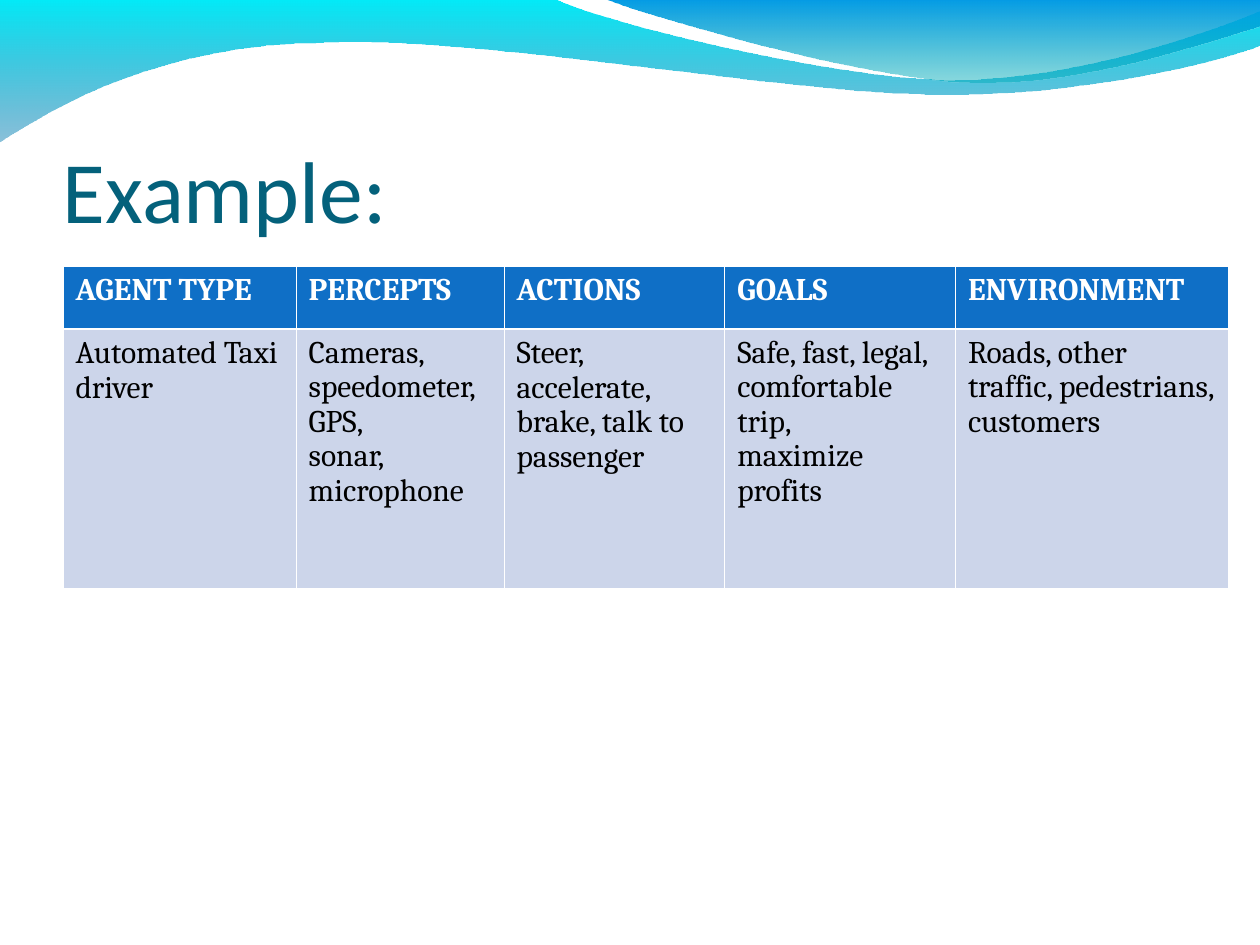
from lxml.etree import SubElement
from pptx import Presentation
from pptx.dml.color import RGBColor
from pptx.enum.text import MSO_ANCHOR as Anchor
from pptx.oxml.ns import qn
from pptx.util import Cm, Pt

WHITE = RGBColor(0xFF, 0xFF, 0xFF)
BLACK = RGBColor(0x00, 0x00, 0x00)
TITLE_TEAL = RGBColor(0x04, 0x61, 0x7B)
HEADER_BLUE = RGBColor(0x0F, 0x6F, 0xC6)
BODY_BLUE = RGBColor(0xCC, 0xD5, 0xEA)
CYAN = RGBColor(0x00, 0xEB, 0xF8)
DEEP_BLUE = RGBColor(0x00, 0x79, 0xAF)
SKY_BLUE = RGBColor(0x00, 0x9B, 0xE5)
SEA_GREEN = RGBColor(0x00, 0xAD, 0xB6)

THIN, THICK = Pt(0.45), Pt(1.47)

# Outlines in cm from the wave's corner: one point is a corner, three are a Bézier curve.
LONG_WAVE = [
    [(0.03, 0)],
    [(11.2, 0)],
    [(12.12, 0.46), (16.89, 1.63), (19.28, 1.63)],
    [(21.74, 1.63), (24.36, 0.69), (25.43, 0.25)],
    [(25.45, 0.94)],
    [(24.99, 1.14), (22.12, 1.96), (18.97, 1.93)],
    [(15.82, 1.93), (9.73, 0.74), (6.55, 0.89)],
    [(3.3, 0.91), (1.19, 2.13), (0, 2.9)],
]
SHORT_WAVE = [
    [(0, 0)],
    [(0.76, 0.3), (5.16, 1.6), (7.37, 1.68)],
    [(9.58, 1.78), (12.24, 0.84), (13.23, 0.56)],
    [(13.23, 0.03)],
]

COLUMNS = [
    ("AGENT TYPE", 4.7, ["Automated Taxi driver"]),
    ("PERCEPTS", 4.19, ["Cameras,", "speedometer, GPS,", "sonar, microphone"]),
    ("ACTIONS", 4.45, ["Steer, accelerate,", "brake, talk to", "passenger"]),
    ("GOALS", 4.65, ["Safe, fast, legal,", "comfortable trip,", "maximize profits"]),
    ("ENVIRONMENT", 5.5, ["Roads, other", "traffic, pedestrians,", "customers"]),
]
ROW_HEIGHTS = [1.26, 5.24]


def bend_curves(wave, outline):
    """Join the three line segments of each curve into one Bézier segment."""
    segments = iter(wave.element.findall(".//" + qn("a:lnTo")))
    for part in outline[1:]:
        lines = [next(segments) for _ in part]
        if len(part) == 3:
            curve = lines[0].makeelement(qn("a:cubicBezTo"))
            lines[0].addprevious(curve)
            for line in lines:
                curve.append(line[0])
                line.getparent().remove(line)


def add_wave(slide, left, top, outline, top_color, bottom_color):
    """Draw a wave that fades downwards to a half-transparent colour."""
    first, *others = [(Cm(x), Cm(y)) for part in outline for x, y in part]
    builder = slide.shapes.build_freeform(*first)
    builder.add_line_segments(others, close=True)
    wave = builder.convert_to_shape(left, top)
    bend_curves(wave, outline)
    wave.shadow.inherit = False
    wave.line.fill.background()
    wave.fill.gradient()
    wave.fill.gradient_angle = 270
    for stop, position, color in zip(wave.fill.gradient_stops, (0, 1), (top_color, bottom_color)):
        stop.position = position
        stop.color.rgb = color
    bottom_stop = wave.element.findall(".//" + qn("a:gs"))[-1]
    SubElement(bottom_stop[0], qn("a:alpha"), val="45000")


def add_run(paragraph, text, font_name, size, color, bold=False):
    run = paragraph.add_run()
    run.text = text
    font = run.font
    font.name, font.size, font.bold = font_name, Pt(size), bold
    font.color.rgb = color


def add_title(slide, left, top, width, height, text):
    frame = slide.shapes.add_textbox(left, top, width, height).text_frame
    frame.word_wrap = True
    frame.vertical_anchor = Anchor.BOTTOM
    frame.margin_left = frame.margin_right = frame.margin_bottom = 0
    add_run(frame.paragraphs[0], text, "Calibri", 50, TITLE_TEAL)


def set_borders(cell, top, bottom):
    properties = cell._tc.get_or_add_tcPr()
    for side, width in (("L", THIN), ("R", THIN), ("T", top), ("B", bottom)):
        line = SubElement(properties, qn(f"a:ln{side}"), w=str(int(width)))
        SubElement(SubElement(line, qn("a:solidFill")), qn("a:srgbClr"), val=str(WHITE))


def fill_cell(cell, lines, is_header):
    set_borders(cell, *((THIN, THICK) if is_header else (THICK, THIN)))
    cell.fill.solid()
    cell.fill.fore_color.rgb = HEADER_BLUE if is_header else BODY_BLUE
    frame = cell.text_frame
    for index, line in enumerate(lines):
        paragraph = frame.add_paragraph() if index else frame.paragraphs[0]
        paragraph.line_spacing = 0.95 if index else 0.96
        add_run(paragraph, line, "Cambria", 18, WHITE if is_header else BLACK, is_header)


def add_agent_table(slide, left, top, width, height):
    table = slide.shapes.add_table(len(ROW_HEIGHTS), len(COLUMNS), left, top, width, height).table
    table.horz_banding = False
    for row, row_height in zip(table.rows, ROW_HEIGHTS):
        row.height = Cm(row_height)
    for index, (heading, column_width, lines) in enumerate(COLUMNS):
        table.columns[index].width = Cm(column_width)
        fill_cell(table.cell(0, index), [heading], True)
        fill_cell(table.cell(1, index), lines, False)


def main():
    deck = Presentation()
    deck.slide_width, deck.slide_height = Cm(25.4), Cm(19.05)
    slide = deck.slides.add_slide(deck.slide_layouts[6])
    add_wave(slide, Cm(-0.03), Cm(-0.03), LONG_WAVE, CYAN, DEEP_BLUE)
    add_wave(slide, Cm(12.17), Cm(-0.03), SHORT_WAVE, SKY_BLUE, SEA_GREEN)
    add_title(slide, Cm(1.27), Cm(1.68), Cm(22.86), Cm(3.18), "Example:")
    add_agent_table(slide, Cm(1.27), Cm(5.37), Cm(23.49), Cm(6.5))
    deck.save("out.pptx")


if __name__ == "__main__":
    main()
